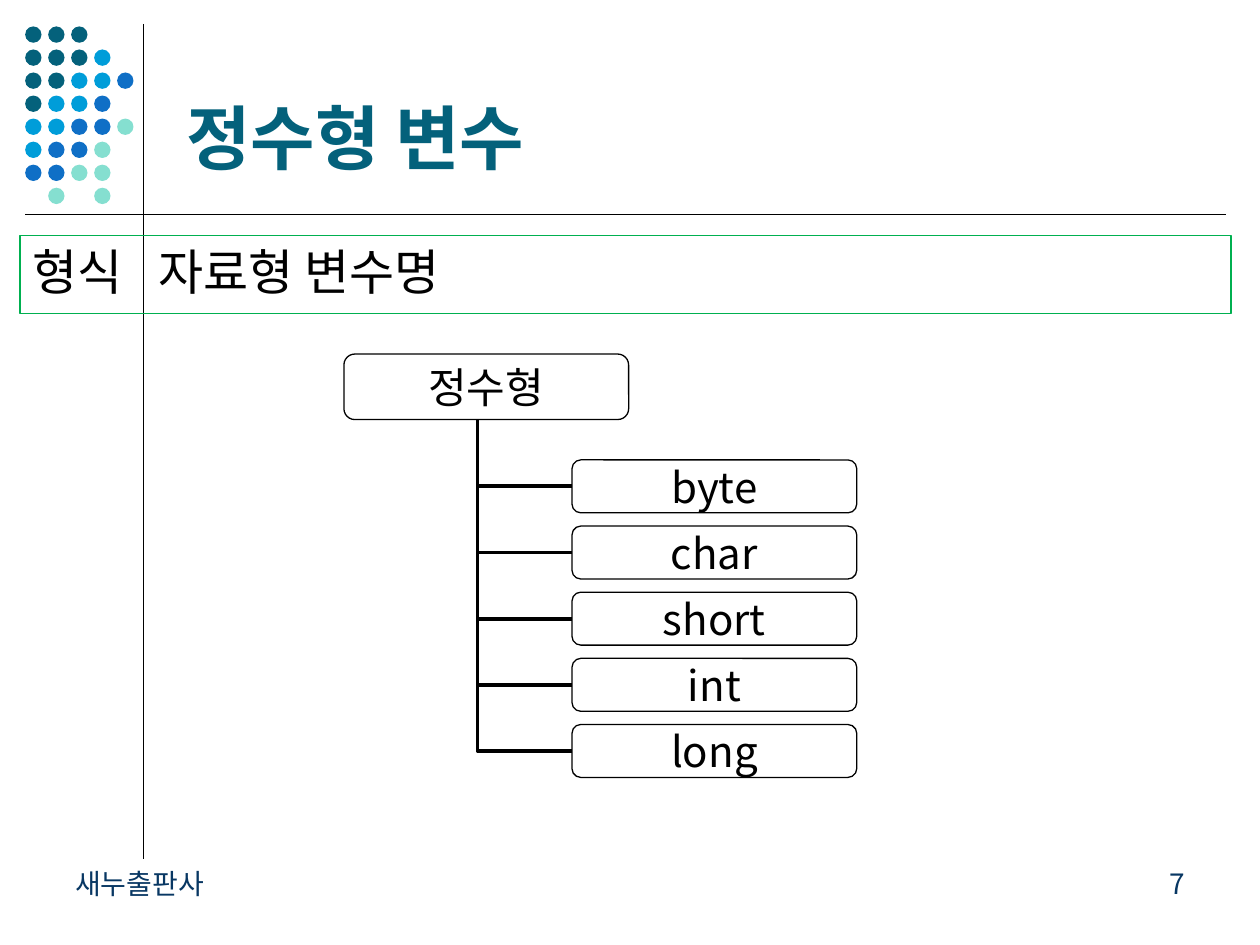
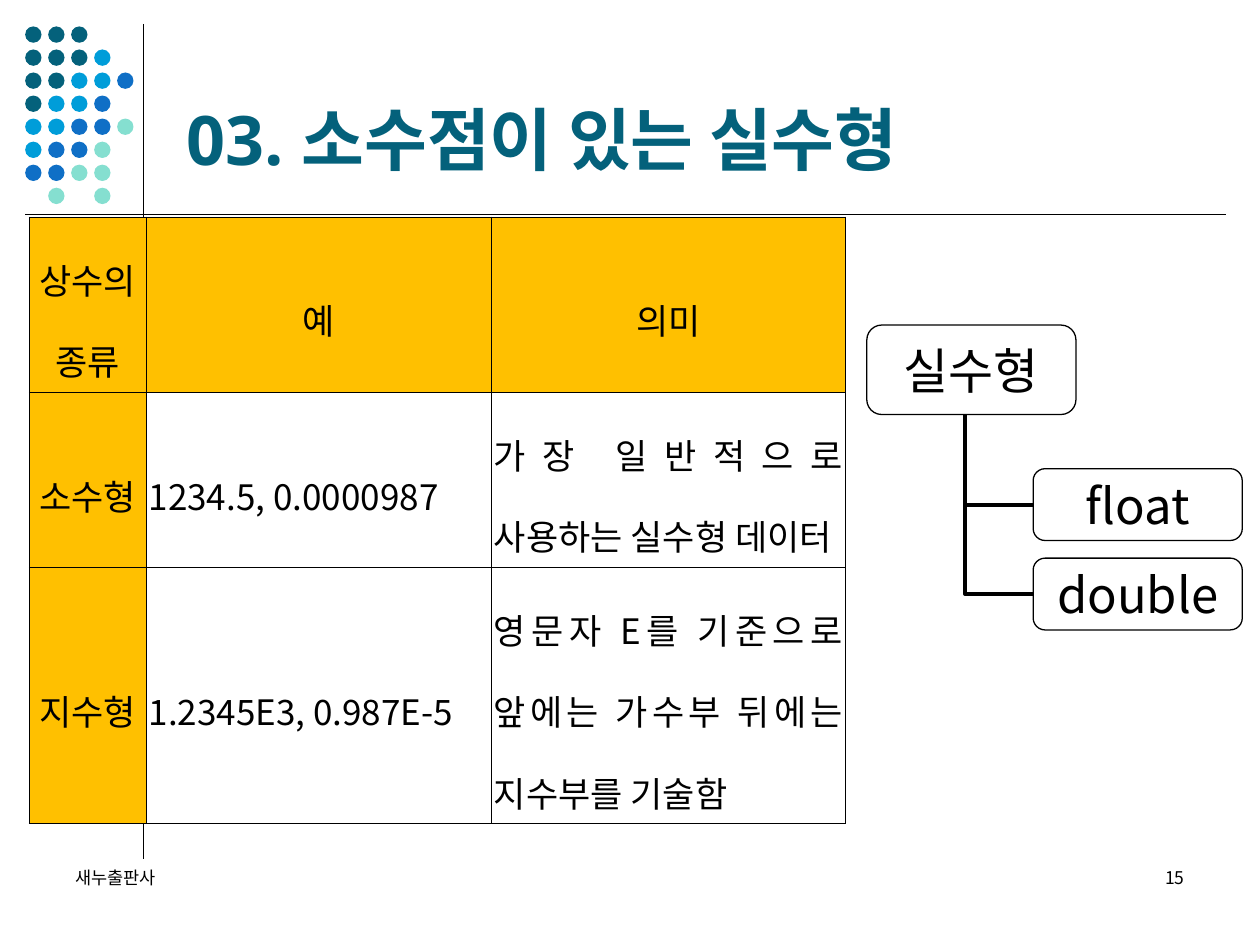
"""Builds two lecture slides on integer and real data types."""
from dataclasses import dataclass
from typing import NamedTuple

from lxml import etree
from pptx import Presentation, util as u
from pptx.dml.color import RGBColor
from pptx.enum import shapes as sh, text as tx
from pptx.oxml import ns

Inches = u.Inches
ALIGN = tx.PP_ALIGN
MID = tx.MSO_ANCHOR.MIDDLE


@dataclass(frozen=True)
class Theme:
    """Colours, fonts and type sizes of the deck."""
    ink: str = "000000"
    teal: str = "04617B"
    sky: str = "009DD9"
    blue: str = "0F6FC6"
    mint: str = "85DFD0"
    navy: str = "083763"
    green: str = "00B050"
    gold: str = "FFC000"
    sans: str = "Noto Sans CJK KR"
    head: str = "Open Sans"
    serif: str = "TeX Gyre Pagella"
    title: int = 40
    long: int = 39
    body: int = 28
    node: int = 24
    cell: int = 20
    foot: int = 16
    small: int = 10
    thin: float = 0.75
    thick: float = 2.25
    hair: float = 0.11


T = Theme()
PRESS = "새누출판사"
DOTS = ("DDD", "DDDS", "DDSSB", "DSSB", "SSBBM", "SBBM", "BBMM", " M M")
TINTS = {"D": T.teal, "S": T.sky, "B": T.blue, "M": T.mint}


class Box(NamedTuple):
    """Left, top, width and height in inches."""
    x: float
    y: float
    w: float
    h: float

    def emu(self) -> list:
        """Return the four lengths for python-pptx."""
        return [Inches(v) for v in self]


@dataclass(frozen=True)
class Tree:
    """A root node with evenly spaced leaves on a trunk."""
    root: str
    top: Box
    names: tuple
    leaf: Box
    step: float
    trunk: float
    size: int
    ticks: int


def rgb(tint: str) -> RGBColor:
    """Return a colour from its hex form."""
    return RGBColor.from_string(tint)


def put(frame, text: str, *, size: float, font: str = T.sans, tint: str = T.ink,
        bold: bool = False, align=ALIGN.LEFT, anchor=tx.MSO_ANCHOR.TOP,
        wrap: bool = True, before: float = 0, line: float = 1.0) -> None:
    """Write text into a frame, one paragraph per line."""
    frame.word_wrap = wrap
    frame.auto_size = tx.MSO_AUTO_SIZE.NONE
    frame.vertical_anchor = anchor
    write(frame, text, size, font, tint, bold, align, before, line)


def write(frame, text: str, size: float, font: str, tint: str, bold: bool,
          align, before: float, line: float) -> None:
    """Fill a frame with formatted paragraphs."""
    frame.text = text
    for para in frame.paragraphs:
        para.alignment = align
        para.space_before = u.Pt(before)
        para.line_spacing = line
        for run in para.runs:
            run.font.size = u.Pt(size)
            run.font.bold = bold
            run.font.color.rgb = rgb(tint)
            run.font.name = font
            props = run._r.get_or_add_rPr()
            etree.SubElement(props, ns.qn("a:ea"), typeface=T.sans)


def form(slide, kind, box: Box, fill: str = "", edge: str = ""):
    """Add a preset shape with optional fill and outline."""
    shape = slide.shapes.add_shape(kind, *box.emu())
    shape.shadow.inherit = False
    paint(shape, fill, edge)
    return shape


def paint(shape, fill: str = "", edge: str = "") -> None:
    """Set the fill and outline of a shape."""
    if fill:
        shape.fill.solid()
        shape.fill.fore_color.rgb = rgb(fill)
    else:
        shape.fill.background()
    if edge:
        shape.line.color.rgb = rgb(edge)
        shape.line.width = u.Pt(T.thin)
    else:
        shape.line.fill.background()


def link(slide, x1: float, y1: float, x2: float, y2: float,
         width: float = T.thick, kind=sh.MSO_CONNECTOR.STRAIGHT):
    """Add a black connector without shadow."""
    wire = slide.shapes.add_connector(kind, *[Inches(v) for v in (x1, y1, x2, y2)])
    wire.line.color.rgb = rgb(T.ink)
    wire.line.width = u.Pt(width)
    etree.SubElement(wire.element.spPr, ns.qn("a:effectLst"))
    return wire


def frame(slide, master) -> None:
    """Draw the rules and dots and move them to the master."""
    parts = [link(slide, 1.14, 0.19, 1.14, 6.82, T.thin)]
    for row, marks in enumerate(DOTS):
        for col, mark in enumerate(marks):
            if mark in TINTS:
                box = Box(0.2 + col * 0.73 / 4, 0.21 + row * 1.28 / 7, 0.13, 0.13)
                parts.append(form(slide, sh.MSO_SHAPE.OVAL, box, TINTS[mark]))
    parts.append(link(slide, 0.2, 1.7, 9.73, 1.7, T.thin))
    for num, part in enumerate(parts, 100):
        part.element.xpath(".//p:cNvPr")[0].set("id", str(num))
        master.shapes.element.append(part.element)


def place(shape, box: Box) -> None:
    """Move and size a shape."""
    shape.left, shape.top, shape.width, shape.height = box.emu()


def head(slide, text: str, size: int) -> None:
    """Format the title placeholder."""
    place(slide.shapes.title, Box(1.38, 0.21, 8.25, 1.26))
    put(slide.shapes.title.text_frame, text, size=size, font=T.head,
        tint=T.teal, bold=True, anchor=tx.MSO_ANCHOR.BOTTOM)


def foot(slide, page: str, size: int, tint: str) -> None:
    """Add the publisher and the page number."""
    for x, text, align in ((0.5, PRESS, ALIGN.LEFT), (7.17, page, ALIGN.RIGHT)):
        note = slide.shapes.add_textbox(*Box(x, 6.83, 2.33, 0.5).emu())
        put(note.text_frame, text, size=size, tint=tint, align=align)


def syntax(slide) -> None:
    """Format the body placeholder as the syntax bar."""
    body = slide.placeholders[1]
    place(body, Box(0.16, 1.87, 9.61, 0.62))
    paint(body, edge=T.green)
    put(body.text_frame, "형식\t자료형 변수명", size=T.body, font=T.serif, before=7)
    props = body.text_frame.paragraphs[0]._p.get_or_add_pPr()
    props.set("marL", "0")
    props.set("indent", "0")
    etree.SubElement(props, ns.qn("a:buNone"))
    tabs = etree.SubElement(props, ns.qn("a:tabLst"))
    etree.SubElement(tabs, ns.qn("a:tab"), pos=str(Inches(1.29)), algn="l")


def node(slide, text: str, box: Box, size: int):
    """Add a rounded node with centred text."""
    shape = form(slide, sh.MSO_SHAPE.ROUNDED_RECTANGLE, box, edge=T.ink)
    area = shape.text_frame
    area.margin_left = area.margin_right = area.margin_top = area.margin_bottom = 0
    put(area, text, size=size, align=ALIGN.CENTER, anchor=MID, wrap=False)
    return shape


def grow(slide, tree: Tree) -> None:
    """Draw a type tree."""
    leaf = tree.leaf
    spots = [leaf._replace(y=leaf.y + i * tree.step) for i in range(len(tree.names))]
    bend = link(slide, leaf.x, spots[-1].y + leaf.h / 2, tree.trunk,
                tree.top.y + tree.top.h, kind=sh.MSO_CONNECTOR.ELBOW)
    bend.element.spPr.find(ns.qn("a:prstGeom")).set("prst", "bentConnector2")
    node(slide, tree.root, tree.top, tree.size)
    for i, (name, spot) in enumerate(zip(tree.names, spots)):
        shape = node(slide, name, spot, tree.size)
        if i < tree.ticks:
            mid = spot.y + spot.h / 2
            wire = link(slide, tree.trunk, mid, spot.x, mid)
            wire.end_connect(shape, 1)


def edge(cell) -> None:
    """Give a cell hairline borders."""
    props = cell._tc.get_or_add_tcPr()
    for i, side in enumerate(("lnL", "lnR", "lnT", "lnB")):
        line = etree.Element(ns.qn(f"a:{side}"), w=str(u.Pt(T.hair)))
        fill = etree.SubElement(line, ns.qn("a:solidFill"))
        etree.SubElement(fill, ns.qn("a:srgbClr"), val=T.ink)
        props.insert(i, line)


def chart(slide, box: Box, cols: tuple, rows: tuple, data: tuple) -> None:
    """Add the table of constants."""
    grid = slide.shapes.add_table(len(rows), len(cols), *box.emu()).table
    grid.first_row = grid.horz_banding = False
    for col, width in zip(grid.columns, cols):
        col.width = Inches(width)
    for r, (row, high) in enumerate(zip(grid.rows, rows)):
        row.height = Inches(high)
        for c, cell in enumerate(row.cells):
            key = r == 0 or c == 0
            cell.margin_left = cell.margin_right = Inches(0.02)
            cell.vertical_anchor = MID
            if key:
                cell.fill.solid()
                cell.fill.fore_color.rgb = rgb(T.gold)
            else:
                cell.fill.background()
            edge(cell)
            write(cell.text_frame, data[r][c], T.cell, T.sans, T.ink, False,
                  ALIGN.CENTER if key else ALIGN.JUSTIFY, 0, 1.6)


WHOLE = Tree("정수형", Box(2.73, 2.81, 2.26, 0.52),
             ("byte", "char", "short", "int", "long"),
             Box(4.54, 3.65, 2.26, 0.42), 2.1 / 4, 3.79, T.node, 4)
REAL = Tree("실수형", Box(6.88, 2.58, 1.66, 0.71), ("float", "double"),
            Box(8.2, 3.72, 1.66, 0.57), 0.71, 7.66, T.body, 2)
DATA = (("상수의\n종류", "예", "의미"),
        ("소수형", "1234.5, 0.0000987", "가장 일반적으로 사용하는 실수형 데이터"),
        ("지수형", "1.2345E3, 0.987E-5",
         "영문자 E를 기준으로 앞에는 가수부 뒤에는 지수부를 기술함"))


def main() -> None:
    """Build and save the deck."""
    deck = Presentation()
    deck.slide_width, deck.slide_height = Inches(10), Inches(7.5)

    first = deck.slides.add_slide(deck.slide_layouts[1])
    frame(first, deck.slide_master)
    head(first, "정수형 변수", T.title)
    syntax(first)
    foot(first, "7", T.foot, T.navy)
    grow(first, WHOLE)

    last = deck.slides.add_slide(deck.slide_layouts[5])
    head(last, "03. 소수점이 있는 실수형", T.long)
    foot(last, "15", T.small, T.ink)
    chart(last, Box(0.23, 1.72, 6.48, 3.86), (0.93, 2.74, 2.81),
          (1.11, 1.11, 1.64), DATA)
    grow(last, REAL)
    deck.save("out.pptx")


if __name__ == "__main__":
    main()
